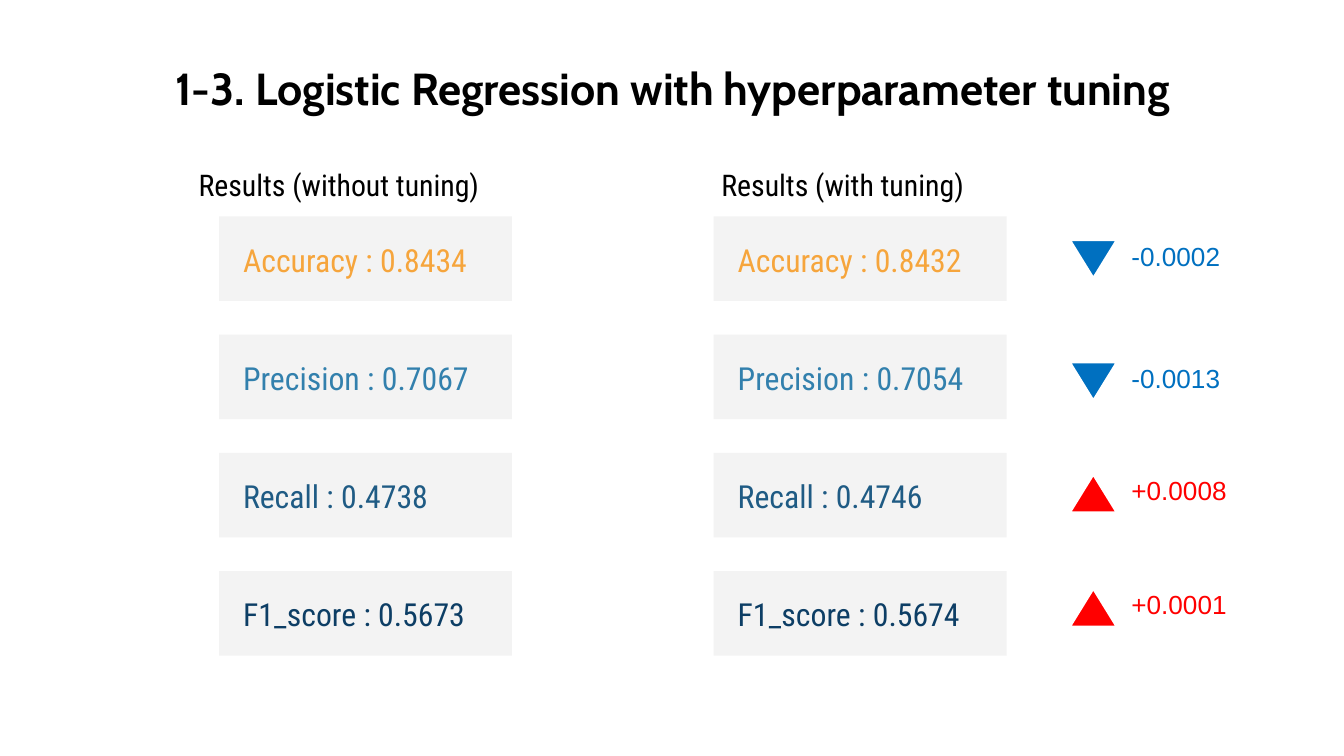
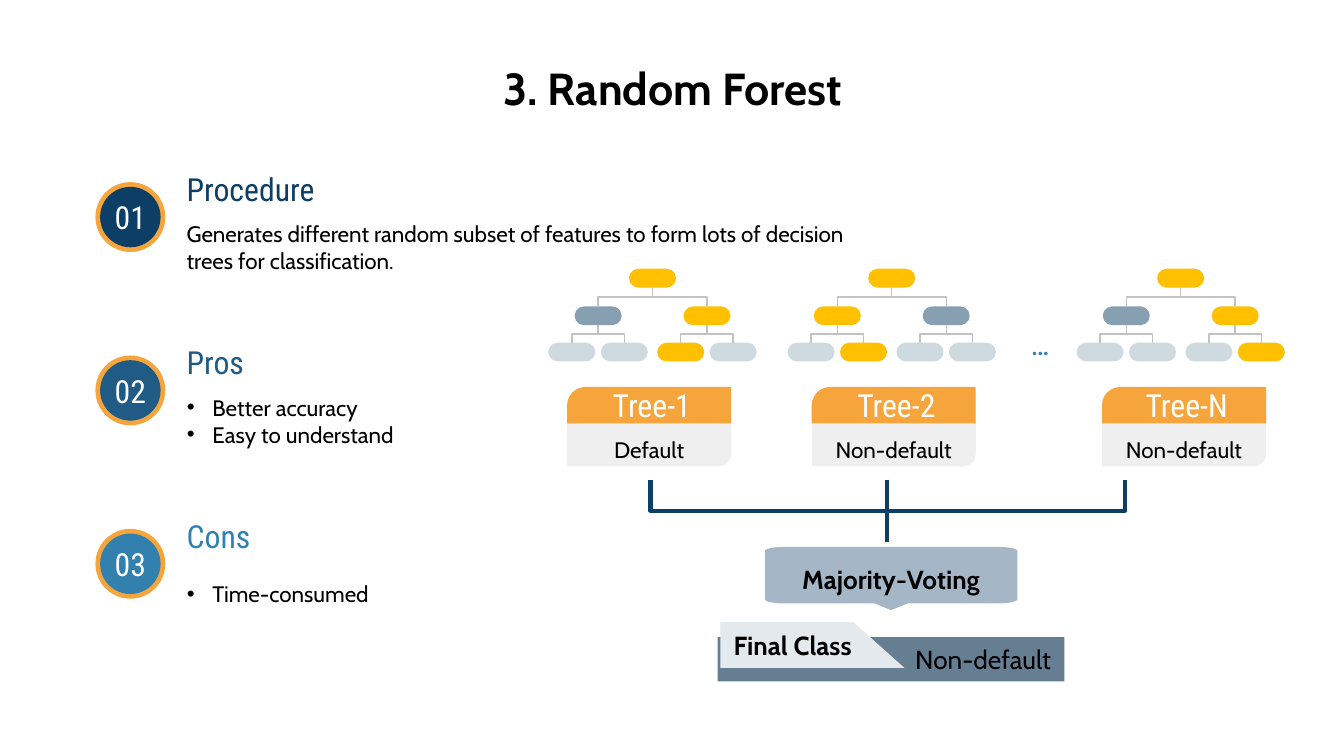
import dataclasses
import math
import typing

import lxml.etree
import pptx
import pptx.dml.color
import pptx.enum.shapes
import pptx.enum.text
import pptx.oxml.ns
import pptx.shapes.autoshape
import pptx.shapes.connector
import pptx.slide
import pptx.util

SHAPE = pptx.enum.shapes.MSO_SHAPE
CONNECTOR = pptx.enum.shapes.MSO_CONNECTOR
ALIGN = pptx.enum.text.PP_ALIGN
ANCHOR = pptx.enum.text.MSO_ANCHOR

SLIDE_WIDTH = pptx.util.Inches(10)
GRID_COLUMNS = 100
GRID_ROWS = 56.25
COLORS = {
    "black": "000000", "white": "FFFFFF", "panel": "F3F3F3", "card": "EFEFEF",
    "orange": "F6A53C", "sky": "3280AD", "blue": "1F5B84", "navy": "0D3E65",
    "up": "FF0000", "down": "0070C0", "chosen": "FFC000", "branch": "869FB1",
    "leaf": "CFD9E0", "twig": "C2C2C2", "vote": "A5B7C6", "result": "667E92",
    "tab": "E3E9ED",
}


class Area(typing.NamedTuple):
    column: float
    row: float
    columns: float
    rows: float


class Point(typing.NamedTuple):
    column: float
    row: float


class Insets(typing.NamedTuple):
    left: float = 1
    top: float = 1
    right: float = 1
    bottom: float = 1


@dataclasses.dataclass(frozen=True)
class TextStyle:
    font: str
    size: float
    color: str = "black"
    bold: bool = False
    align: ALIGN = ALIGN.LEFT
    anchor: ANCHOR = ANCHOR.MIDDLE
    insets: Insets = Insets()
    bullet: bool = False


@dataclasses.dataclass(frozen=True)
class Metric:
    name: str
    color: str
    scores: tuple[str, str]
    change: str
    marker_row: float


@dataclasses.dataclass(frozen=True)
class Step:
    title: str
    color: str
    lines: list[str]
    columns: float
    listed: bool


@dataclasses.dataclass(frozen=True)
class Tree:
    name: str
    vote: str
    column: float
    card_column: float
    chosen_leaf: int


TITLE = TextStyle("Cabin", 24, bold=True, align=ALIGN.CENTER)
HEADING = TextStyle("Roboto Condensed", 17)
BODY = TextStyle("Cabin", 12)
LOOSE = Insets(1, 0.5, 1, 0.5)
CAPTION = TextStyle("Roboto Condensed", 16, anchor=ANCHOR.TOP, insets=LOOSE)
CHANGE = TextStyle("Arial", 14, anchor=ANCHOR.TOP, insets=LOOSE)
BADGE = dataclasses.replace(HEADING, color="white", align=ALIGN.CENTER)
VERDICT = TextStyle("Cabin", 14)

METRICS = [
    Metric("Accuracy", "orange", ("0.8434", "0.8432"), "-0.0002", 17.8),
    Metric("Precision", "sky", ("0.7067", "0.7054"), "-0.0013", 26.9),
    Metric("Recall", "blue", ("0.4738", "0.4746"), "+0.0008", 35.2),
    Metric("F1_score", "navy", ("0.5673", "0.5674"), "+0.0001", 43.7),
]
STEPS = [
    Step("Procedure", "navy", ["Generates different random subset of features to form lots "
                               "of decision trees for classification."], 52.1, False),
    Step("Pros", "blue", ["Better accuracy", "Easy to understand"], 22.3, True),
    Step("Cons", "sky", ["Time-consumed"], 22.3, True),
]
TREES = [
    Tree("Tree-1", "Default", 40.8, 42.2, 2),
    Tree("Tree-2", "Non-default", 58.6, 60.4, 1),
    Tree("Tree-N", "Non-default", 80.1, 82, 3),
]
LEAF_OFFSETS = [0, 3.9, 8.1, 12]
NODE_COLUMNS, NODE_ROWS = 3.5, 1.4
NODE_LEVELS = [20, 22.8, 25.5]


def grid(count: float) -> pptx.util.Emu:
    return pptx.util.Emu(round(count * SLIDE_WIDTH / GRID_COLUMNS))


def rgb(name: str) -> pptx.dml.color.RGBColor:
    return pptx.dml.color.RGBColor.from_string(COLORS[name])


def add_bullet(para: typing.Any) -> None:
    properties = para._p.get_or_add_pPr()
    properties.set("marL", str(grid(1.9)))
    properties.set("indent", str(grid(-1.9)))
    tag = pptx.oxml.ns.qn
    color = lxml.etree.SubElement(properties, tag("a:buClr"))
    lxml.etree.SubElement(color, tag("a:srgbClr"), val=COLORS["black"])
    lxml.etree.SubElement(properties, tag("a:buChar"), char="•")


def write(box: typing.Any, lines: list[str], style: TextStyle) -> None:
    frame = box.text_frame
    frame.word_wrap = True
    frame.auto_size = pptx.enum.text.MSO_AUTO_SIZE.NONE
    frame.vertical_anchor = style.anchor
    frame.margin_left, frame.margin_top, frame.margin_right, frame.margin_bottom = map(
        grid, style.insets)
    frame.text = "\n".join(lines)
    for para in frame.paragraphs:
        if style.bullet:
            add_bullet(para)
        para.alignment = style.align
        para.space_before = pptx.util.Pt(0)
        para.font.name = style.font
        para.font.size = pptx.util.Pt(style.size)
        para.font.bold = style.bold
        para.font.color.rgb = rgb(style.color)


def move(box: typing.Any, area: Area) -> None:
    box.left, box.top, box.width, box.height = map(grid, area)


def add_text(page: pptx.slide.Slide, area: Area, text: str, style: TextStyle) -> None:
    write(page.shapes.add_textbox(*map(grid, area)), [text], style)


def paint(box: pptx.shapes.autoshape.Shape, fill: str) -> None:
    box.shadow.inherit = False
    box.fill.solid()
    box.fill.fore_color.rgb = rgb(fill)
    box.line.fill.background()


def add_box(page: pptx.slide.Slide, kind: SHAPE, area: Area, fill: str,
            adjustments: tuple[float, ...] = ()) -> pptx.shapes.autoshape.Shape:
    box = page.shapes.add_shape(kind, *map(grid, area))
    paint(box, fill)
    for index, value in enumerate(adjustments):
        box.adjustments[index] = value
    return box


def add_outline(page: pptx.slide.Slide, points: list[Point],
                fill: str) -> pptx.shapes.autoshape.Shape:
    corners = [(grid(point.column), grid(point.row)) for point in points]
    builder = page.shapes.build_freeform(*corners[0])
    builder.add_line_segments(corners[1:], close=True)
    box = builder.convert_to_shape()
    paint(box, fill)
    return box


def add_line(page: pptx.slide.Slide, kind: CONNECTOR, begin: Point, end: Point,
             color: str, weight: float) -> pptx.shapes.connector.Connector:
    line = page.shapes.add_connector(kind, *map(grid, begin + end))
    line.line.color.rgb = rgb(color)
    line.line.width = pptx.util.Pt(weight)
    lxml.etree.SubElement(line._element.spPr, pptx.oxml.ns.qn("a:effectLst"))
    return line


def add_drop(page: pptx.slide.Slide, top: Point, bottom: Point,
             color: str, weight: float) -> None:
    middle = Point((top.column + bottom.column) / 2, (top.row + bottom.row) / 2)
    across = (bottom.column - top.column) / 2
    down = (bottom.row - top.row) / 2
    line = add_line(page, CONNECTOR.ELBOW,
                    Point(middle.column - down, middle.row + across),
                    Point(middle.column + down, middle.row - across), color, weight)
    line._element.spPr.find(pptx.oxml.ns.qn("a:xfrm")).set("rot", "5400000")


def add_page(deck: typing.Any, layout: int, title: str) -> pptx.slide.Slide:
    page = deck.slides.add_slide(deck.slide_layouts[layout])
    move(page.shapes.title, Area(2, 3.4, 96.1, 6.3))
    write(page.shapes.title, [title], TITLE)
    return page


def add_scores(page: pptx.slide.Slide, column: float, run: int) -> None:
    for index, metric in enumerate(METRICS):
        row = 16.1 + 8.8 * index
        add_box(page, SHAPE.RECTANGLE, Area(column, row, 21.8, 6.3), "panel")
        add_text(page, Area(column + 0.8, row + 0.85, 20.2, 4.7),
                 f"{metric.name} : {metric.scores[run]}",
                 dataclasses.replace(HEADING, color=metric.color))


def add_change(page: pptx.slide.Slide, metric: Metric) -> None:
    trend = "down" if metric.change.startswith("-") else "up"
    marker = add_box(page, SHAPE.ISOSCELES_TRIANGLE,
                     Area(79.5, metric.marker_row, 3.7, 3), trend)
    marker.line.color.rgb = rgb("white")
    marker.line.width = pptx.util.Pt(2)
    marker.rotation = 180 if trend == "down" else 0
    add_text(page, Area(83.2, metric.marker_row - 0.4, 10.4, 3.4), metric.change,
             dataclasses.replace(CHANGE, color=trend))


def build_tuning(deck: typing.Any) -> None:
    page = add_page(deck, 5, "1-3. Logistic Regression with hyperparameter tuning")
    add_text(page, Area(13.8, 11.9, 25.3, 3.7), "Results (without tuning)", CAPTION)
    add_text(page, Area(52.7, 11.9, 22.6, 3.7), "Results (with tuning)", CAPTION)
    for run, column in enumerate([16.3, 53.1]):
        add_scores(page, column, run)
    for metric in METRICS:
        add_change(page, metric)


def add_step(page: pptx.slide.Slide, step: Step, index: int,
             lists: typing.Iterator[typing.Any]) -> None:
    row = 11.7 + 12.9 * index
    add_text(page, Area(12.9, row, 22.3, 4.7), step.title,
             dataclasses.replace(HEADING, color=step.color))
    area = Area(12.9, row + 3.8, step.columns, 5.8)
    box = next(lists) if step.listed else page.shapes.add_textbox(*map(grid, area))
    move(box, area)
    write(box, step.lines, dataclasses.replace(BODY, bullet=step.listed))
    add_box(page, SHAPE.OVAL, Area(7.1, row + 1.85, 5.2, 5.2), "orange")
    disc = add_box(page, SHAPE.OVAL, Area(7.45, row + 2.2, 4.5, 4.5), step.color)
    write(disc, [f"{index + 1:02}"], dataclasses.replace(BADGE, insets=Insets(0, 1, 0, 1)))


def add_tree(page: pptx.slide.Slide, tree: Tree) -> None:
    leaves = [tree.column + offset for offset in LEAF_OFFSETS]
    branches = [sum(leaves[:2]) / 2, sum(leaves[2:]) / 2]
    levels = [[sum(branches) / 2], branches, leaves]
    for depth, (columns, row) in enumerate(zip(levels, NODE_LEVELS)):
        plain = ("chosen", "branch", "leaf")[depth]
        chosen = tree.chosen_leaf // 2 ** (2 - depth)
        for index, column in enumerate(columns):
            add_box(page, SHAPE.ROUNDED_RECTANGLE, Area(column, row, NODE_COLUMNS, NODE_ROWS),
                    "chosen" if index == chosen else plain, (0.5,))
            if depth:
                parent = levels[depth - 1][index // 2]
                add_drop(page,
                         Point(parent + NODE_COLUMNS / 2, NODE_LEVELS[depth - 1] + NODE_ROWS),
                         Point(column + NODE_COLUMNS / 2, row), "twig", 0.75)


def add_card(page: pptx.slide.Slide, tree: Tree) -> None:
    card = add_box(page, SHAPE.ROUND_2_DIAG_RECTANGLE,
                   Area(tree.card_column, 29.2, 12.2, 5.5), "card", (0.17, 0))
    write(card, [tree.vote],
          dataclasses.replace(BODY, align=ALIGN.CENTER, insets=Insets(top=4)))
    header = add_box(page, SHAPE.ROUND_1_RECTANGLE,
                     Area(tree.card_column, 28.8, 12.2, 2.7), "orange", (0.5,))
    header._element.spPr.find(pptx.oxml.ns.qn("a:xfrm")).set("flipH", "1")
    write(header, [tree.name], BADGE)


def callout_points(area: Area, curve: Point, tail: Point) -> list[Point]:
    left, right = area.column + curve.column, area.column + area.columns - curve.column
    top, bottom = area.row + curve.row, area.row + area.rows - curve.row
    centers = [Point(left, top), Point(right, top), Point(right, bottom), Point(left, bottom)]
    points = []
    for corner, center in enumerate(centers):
        for step in range(7):
            angle = math.radians(180 + 90 * corner + 15 * step)
            points.append(Point(center.column + curve.column * math.cos(angle),
                                center.row + curve.row * math.sin(angle)))
        if corner == 2:
            middle, base = area.column + area.columns / 2, area.row + area.rows
            points += [Point(middle + tail.column, base), Point(middle, base + tail.row),
                       Point(middle - tail.column, base)]
    return points


def add_verdict(page: pptx.slide.Slide) -> None:
    bold_verdict = dataclasses.replace(VERDICT, bold=True)
    callout = callout_points(Area(56.9, 40.7, 18.8, 4.2), Point(1.4, 0.3), Point(1.25, 0.5))
    vote = add_outline(page, callout, "vote")
    write(vote, ["Majority-Voting"], dataclasses.replace(bold_verdict, align=ALIGN.CENTER))
    junction = Point(66, 40.3)
    for column in (48.4, 83.7):
        add_drop(page, Point(column, 35.7), junction, "navy", 2.25)
    add_line(page, CONNECTOR.STRAIGHT, Point(junction.column, 35.7), junction, "navy", 2.25)
    result = add_box(page, SHAPE.RECTANGLE, Area(53.4, 47.4, 25.8, 3.3), "result")
    write(result, ["Non-default"], dataclasses.replace(VERDICT, align=ALIGN.RIGHT))
    tab = add_outline(page, [Point(53.6, 46.3), Point(53.6, 49.7),
                             Point(67.3, 49.7), Point(63.5, 46.3)], "tab")
    write(tab, ["Final Class"], bold_verdict)


def build_forest(deck: typing.Any) -> None:
    page = add_page(deck, 3, "3. Random Forest")
    lists = iter([page.placeholders[1], page.placeholders[2]])
    for index, step in enumerate(STEPS):
        add_step(page, step, index, lists)
    for tree in TREES:
        add_tree(page, tree)
        add_card(page, tree)
    add_text(page, Area(75.7, 23.6, 3.7, 5.1), "…",
             dataclasses.replace(HEADING, color="sky", anchor=ANCHOR.TOP, insets=LOOSE))
    add_verdict(page)


def main() -> None:
    deck = pptx.Presentation()
    deck.slide_width = SLIDE_WIDTH
    deck.slide_height = grid(GRID_ROWS)
    build_tuning(deck)
    build_forest(deck)
    deck.save("out.pptx")


if __name__ == "__main__":
    main()
